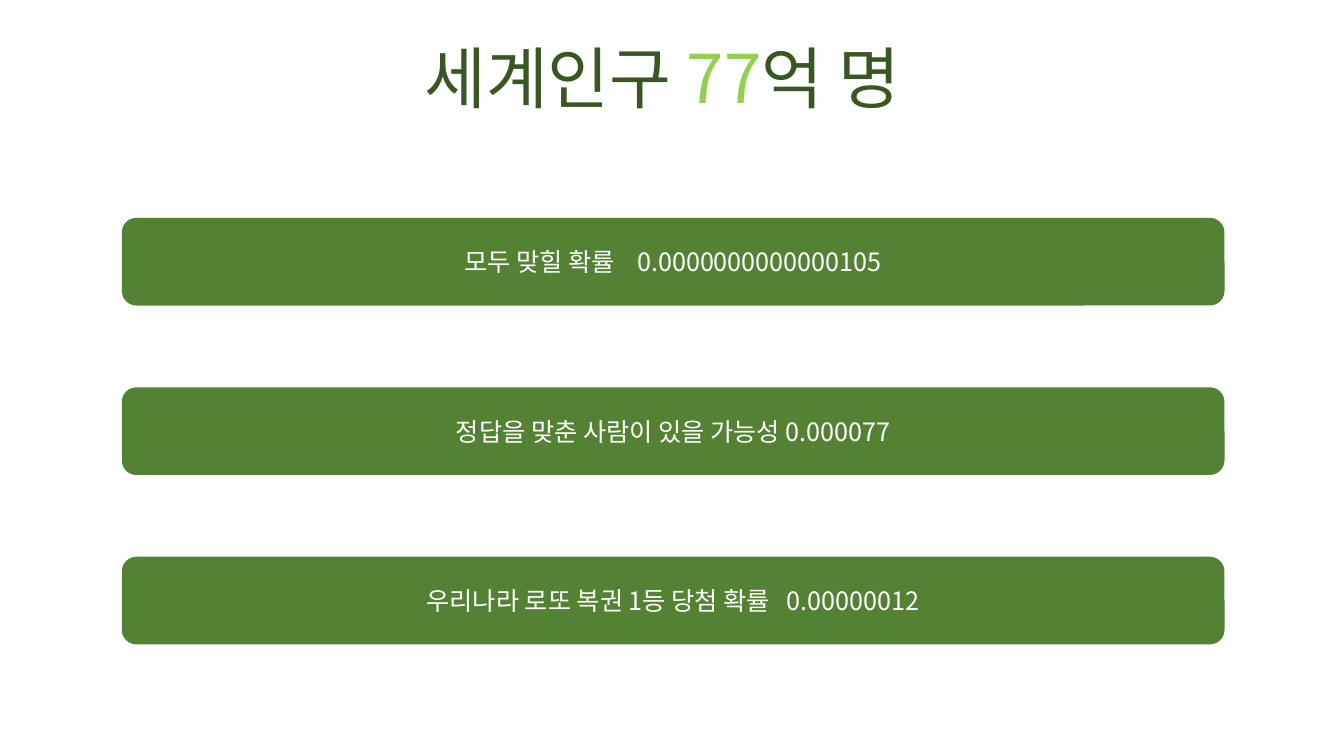
from lxml.etree import SubElement
from pptx import Presentation
from pptx.dml.color import RGBColor
from pptx.enum.shapes import MSO_SHAPE as Preset
from pptx.enum.text import MSO_ANCHOR as Anchor, PP_ALIGN as Align
from pptx.oxml.ns import qn
from pptx.util import Cm, Pt

FONT = "Noto Sans CJK KR"
COLORS = {
    "bar": "548235",
    "title": "385723",
    "accent": "92D050",
    "white": "FFFFFF",
}
BAR_LEFT, BAR_TOP, BAR_WIDTH, BAR_HEIGHT = 3.07, 5.49, 27.79, 2.21
BAR_PITCH = 4.27
BARS = [
    ("모두 맞힐 확률", "0.0000000000000105", 12),
    ("정답을 맞춘 사람이 있을 가능성", "0.000077", 0),
    ("우리나라 로또 복권 1등 당첨 확률", "0.00000012", 8),
]


def add_text(paragraph, text, *, size, color, spacing=0):
    run = paragraph.add_run()
    run.text = text
    run.font.size = Pt(size)
    run.font.name = FONT
    run.font.color.rgb = RGBColor.from_string(COLORS[color])
    properties = run.font._element
    SubElement(properties, qn("a:ea"), typeface=FONT)
    if spacing:
        properties.set("spc", str(spacing * 100))


def centered_paragraph(shape):
    frame = shape.text_frame
    frame.word_wrap = True
    frame.vertical_anchor = Anchor.MIDDLE
    paragraph = frame.paragraphs[0]
    paragraph.alignment = Align.CENTER
    return paragraph


def add_title(slide):
    box = slide.shapes.add_textbox(Cm(1.04), Cm(0.23), Cm(29.21), Cm(3.68))
    box.text_frame.margin_left = Cm(2.34)
    paragraph = centered_paragraph(box)
    paragraph.line_spacing = 0.9
    for text, color in [("세계인구 ", "title"), ("77", "accent"), ("억 명", "title")]:
        add_text(paragraph, text, size=48, color=color)


def add_bar(slide, top, label, value, gap):
    bar = slide.shapes.add_shape(
        Preset.ROUNDED_RECTANGLE, Cm(BAR_LEFT), Cm(top), Cm(BAR_WIDTH), Cm(BAR_HEIGHT)
    )
    bar.shadow.inherit = False
    bar.fill.solid()
    bar.fill.fore_color.rgb = RGBColor.from_string(COLORS["bar"])
    bar.line.fill.background()
    paragraph = centered_paragraph(bar)
    for text, spacing in [(label, 0), (" ", gap), (value, 0)]:
        add_text(paragraph, text, size=18, color="white", spacing=spacing)


def main():
    presentation = Presentation()
    presentation.slide_width = Cm(33.87)
    presentation.slide_height = Cm(19.05)
    slide = presentation.slides.add_slide(presentation.slide_layouts[6])
    add_title(slide)
    for index, (label, value, gap) in enumerate(BARS):
        add_bar(slide, BAR_TOP + index * BAR_PITCH, label, value, gap)
    presentation.save("out.pptx")


if __name__ == "__main__":
    main()
